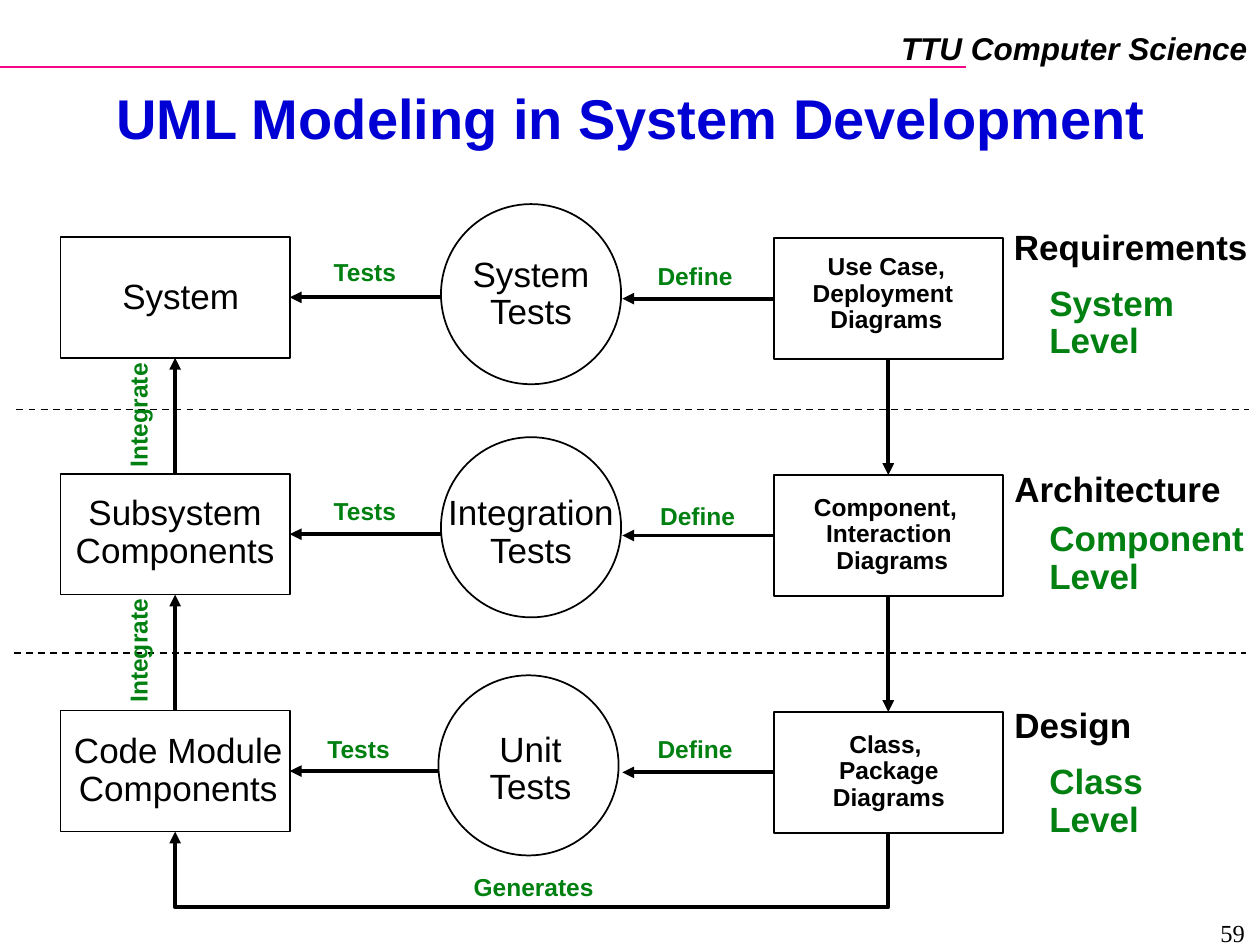
from pptx import Presentation
from pptx import util as u
from pptx.dml.color import RGBColor
from pptx.enum import dml, shapes, text
from pptx.oxml.ns import qn
from lxml import etree

BLACK = RGBColor(0x00, 0x00, 0x00)
BLUE = RGBColor(0x00, 0x00, 0xD4)
GREEN = RGBColor(0x00, 0x80, 0x11)
PINK = RGBColor(0xF2, 0x08, 0x84)

SLIDE_WIDTH, SLIDE_HEIGHT = 10, 7.5
FIRST_ROW, ROW_PITCH = 1.88, 1.88
COMPONENT_LEFT, DIAGRAM_LEFT = 0.48, 6.14
BOX_WIDTH, BOX_HEIGHT = 1.82, 0.96
CIRCLE_SIZE, CIRCLE_RIGHT = 1.43, 4.94
TAIL = "a:tailEnd"

PLAIN = {"size": u.Pt(20), "bold": False}
BIG = {"size": u.Pt(20), "bold": True}
SMALL = {"size": u.Pt(14), "bold": True}
TITLE = {"size": u.Pt(32), "bold": True}
HEADER = {"size": u.Pt(18), "bold": True, "italic": True}
NUMBER = {"size": u.Pt(14), "name": "Times New Roman"}

LEFT, CENTER, RIGHT = (text.PP_ALIGN.LEFT, text.PP_ALIGN.CENTER,
                       text.PP_ALIGN.RIGHT)

# Each text: wording, left, drop below the top of its row, width
ROWS = [
    {"component": ("System", 0.87, 0.29, 1.13),
     "tests": ("System\nTests", 3.65, 0.11, 1.13),
     "diagrams": ("Use Case,\nDeployment \nDiagrams", 6.35, 0.09, 1.37),
     "stage": ("Requirements", 7.94, -0.1, 2.07),
     "level": ("System\nLevel", 8.23, 0.34, 1.19),
     "tests label": ("Tests", 2.55, 0.14, 0.71),
     "define label": ("Define", 5.12, 0.17, 0.82),
     "circle": (3.5, 1.62)},
    {"component": ("Subsystem\nComponents", 0.5, 0.12, 1.78),
     "tests": ("Integration\nTests", 3.45, 0.12, 1.53),
     "diagrams": ("Component, \nInteraction\v Diagrams", 5.83, 0.12, 2.45),
     "stage": ("Architecture", 7.95, -0.06, 1.84),
     "level": ("Component\nLevel", 8.23, 0.33, 1.77),
     "tests label": ("Tests", 2.55, 0.15, 0.71),
     "define label": ("Define", 5.14, 0.19, 0.82),
     "circle": (3.5, 3.47)},
    {"component": ("Code Module\nComponents", 0.48, 0.13, 1.87),
     "tests": ("Unit\nTests", 3.77, 0.12, 0.88),
     "diagrams": ("Class, \nPackage\nDiagrams", 6.07, 0.12, 1.97),
     "stage": ("Design", 7.95, -0.07, 1.13),
     "level": ("Class\nLevel", 8.23, 0.38, 0.94),
     "tests label": ("Tests", 2.5, 0.16, 0.71),
     "define label": ("Define", 5.12, 0.16, 0.82),
     "circle": (3.48, 5.36)},
]

# Each kind of row text: height, format, colour, alignment
ROW_STYLES = {
    "component": (0.7, PLAIN, BLACK, CENTER),
    "tests": (0.7, PLAIN, BLACK, CENTER),
    "diagrams": (0.73, SMALL, BLACK, CENTER),
    "stage": (0.4, BIG, BLACK, CENTER),
    "level": (0.7, BIG, GREEN, LEFT),
    "tests label": (0.31, SMALL, GREEN, LEFT),
    "define label": (0.31, SMALL, GREEN, LEFT),
}


def inches(*lengths):
    return [u.Inches(round(length, 2)) for length in lengths]


def add_text(slide, wording, place, font_format, color, align=LEFT,
             spacing=0.9, wrap=False, rotation=0):
    box = slide.shapes.add_textbox(*inches(*place))
    box.rotation = rotation
    frame = box.text_frame
    frame.word_wrap = wrap
    frame.auto_size = (text.MSO_AUTO_SIZE.NONE if wrap
                       else text.MSO_AUTO_SIZE.SHAPE_TO_FIT_TEXT)
    frame.text = wording
    for paragraph in frame.paragraphs:
        paragraph.alignment = align
        paragraph.line_spacing = spacing
        for run in paragraph.runs:
            for name, value in {"name": "Arial", **font_format}.items():
                setattr(run.font, name, value)
            run.font.color.rgb = color
    return box


def style_line(shape, color=BLACK, width=1, arrow=None):
    shape.line.color.rgb = color
    shape.line.width = u.Pt(width)
    if arrow:
        etree.SubElement(shape.line._get_or_add_ln(), qn(arrow), type="triangle")


def add_outline(slide, kind, left, top, width, height):
    shape = slide.shapes.add_shape(kind, *inches(left, top, width, height))
    shape.shadow.inherit = False
    shape.fill.background()
    style_line(shape)
    return shape


def add_line(slide, start, end, **line_format):
    line = slide.shapes.add_connector(shapes.MSO_CONNECTOR.STRAIGHT,
                                      *inches(*start, *end))
    style_line(line, **line_format)
    etree.SubElement(line._element.spPr, qn("a:effectLst"))
    return line


def add_arrow(slide, start, end):
    return add_line(slide, start, end, width=2.25, arrow=TAIL)


def join_boxes(slide, source, target, begin_site, end_site):
    arrow = add_arrow(slide, (0, 0), (1, 1))
    arrow.begin_connect(source, begin_site)
    arrow.end_connect(target, end_site)


def add_row(slide, row, top):
    """Draw one development level and return its component and diagram boxes."""
    rectangle = shapes.MSO_SHAPE.RECTANGLE
    component = add_outline(slide, rectangle, COMPONENT_LEFT, top,
                            BOX_WIDTH, BOX_HEIGHT)
    diagram = add_outline(slide, rectangle, DIAGRAM_LEFT, top + 0.01,
                          BOX_WIDTH, BOX_HEIGHT)
    circle_left, circle_top = row["circle"]
    add_outline(slide, shapes.MSO_SHAPE.OVAL, circle_left, circle_top,
                CIRCLE_SIZE, CIRCLE_SIZE)

    middle = top + BOX_HEIGHT / 2
    tests = add_arrow(slide, (circle_left, middle),
                      (COMPONENT_LEFT + BOX_WIDTH, middle))
    tests.end_connect(component, 3)
    define = add_arrow(slide, (DIAGRAM_LEFT, middle + 0.01),
                       (CIRCLE_RIGHT, middle + 0.01))
    define.begin_connect(diagram, 1)

    for kind, (height, font_format, color, align) in ROW_STYLES.items():
        wording, left, drop, width = row[kind]
        add_text(slide, wording, (left, top + drop, width, height),
                 font_format, color, align)
    return component, diagram


def add_generates_path(slide):
    bottom = FIRST_ROW + 2 * ROW_PITCH + BOX_HEIGHT
    start, end = DIAGRAM_LEFT + BOX_WIDTH / 2, COMPONENT_LEFT + BOX_WIDTH / 2
    corners = [(start, 7.2), (end, 7.2), (end, bottom)]
    builder = slide.shapes.build_freeform(*inches(start, bottom + 0.01))
    builder.add_line_segments([inches(*corner) for corner in corners], close=False)
    path = builder.convert_to_shape()
    path.shadow.inherit = False
    path.fill.background()
    style_line(path, width=2.25, arrow=TAIL)
    add_text(slide, "Generates", (3.66, 6.9, 1.18, 0.31), SMALL, GREEN)


def add_frame(slide):
    """Draw the header, the title and the slide number."""
    add_line(slide, (0, 0.53), (7.67, 0.53), color=PINK)
    add_text(slide, "TTU Computer Science", (7.05, 0.18, 2.95, 0.4),
             HEADER, BLACK, RIGHT, spacing=1.0)
    title = add_text(slide, "UML Modeling in System Development",
                     (0.53, 0.66, 8.96, 0.61), TITLE, BLUE, CENTER,
                     spacing=0.87, wrap=True)
    title.text_frame.vertical_anchor = text.MSO_ANCHOR.MIDDLE
    add_text(slide, "59", (7.65, 7.24, 2.33, 0.22), NUMBER, BLACK, RIGHT,
             spacing=1.0, wrap=True)


def main():
    presentation = Presentation()
    presentation.slide_width, presentation.slide_height = inches(
        SLIDE_WIDTH, SLIDE_HEIGHT)
    slide = presentation.slides.add_slide(presentation.slide_layouts[6])
    add_frame(slide)

    boxes = [add_row(slide, row, FIRST_ROW + index * ROW_PITCH)
             for index, row in enumerate(ROWS)]
    for (component, diagram), (next_component, next_diagram) in zip(boxes, boxes[1:]):
        join_boxes(slide, next_component, component, 0, 2)
        join_boxes(slide, diagram, next_diagram, 2, 0)
    add_generates_path(slide)

    for left, level, label_top in [(0.13, 3.25, 3.14), (0.11, 5.18, 5.01)]:
        divider = add_line(slide, (left, level), (left + 9.78, level))
        divider.line.dash_style = dml.MSO_LINE.DASH
        add_text(slide, "Integrate", (0.6, label_top, 1.02, 0.31), SMALL, GREEN,
                 rotation=270)

    presentation.save("out.pptx")


if __name__ == "__main__":
    main()
